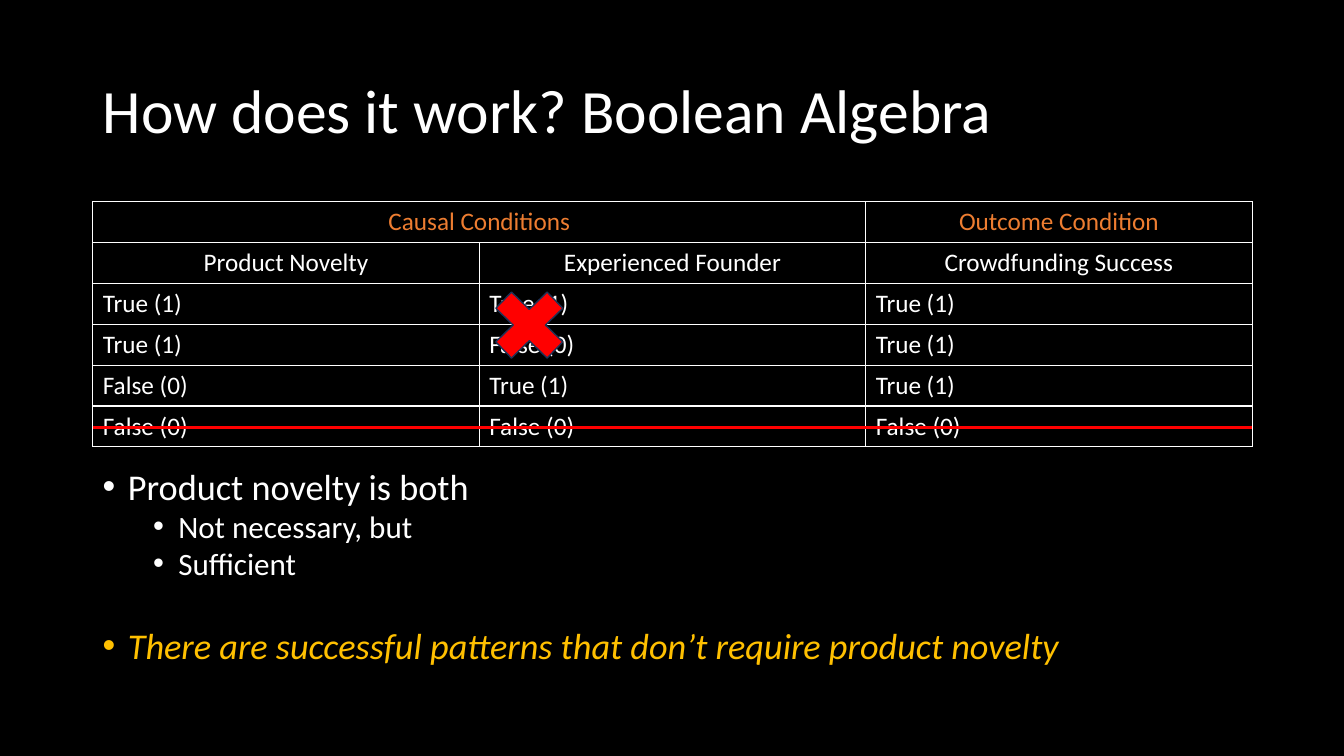
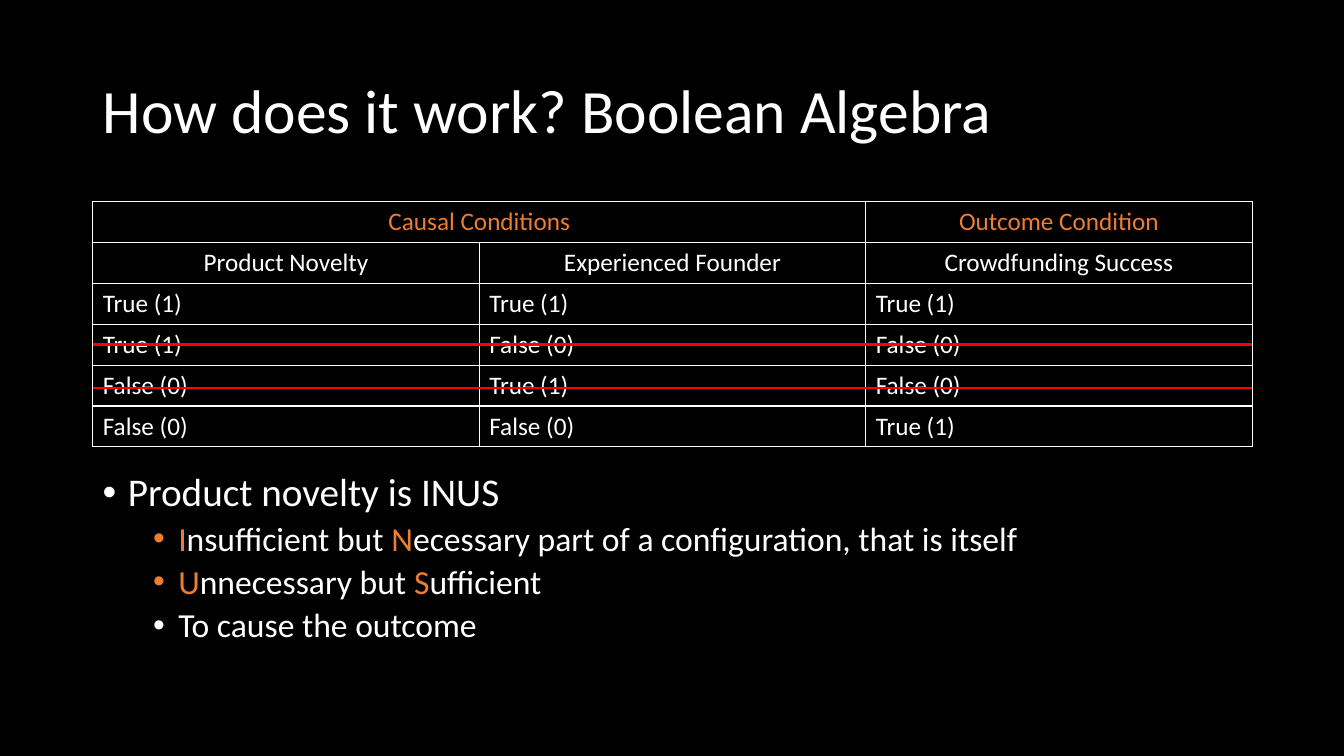
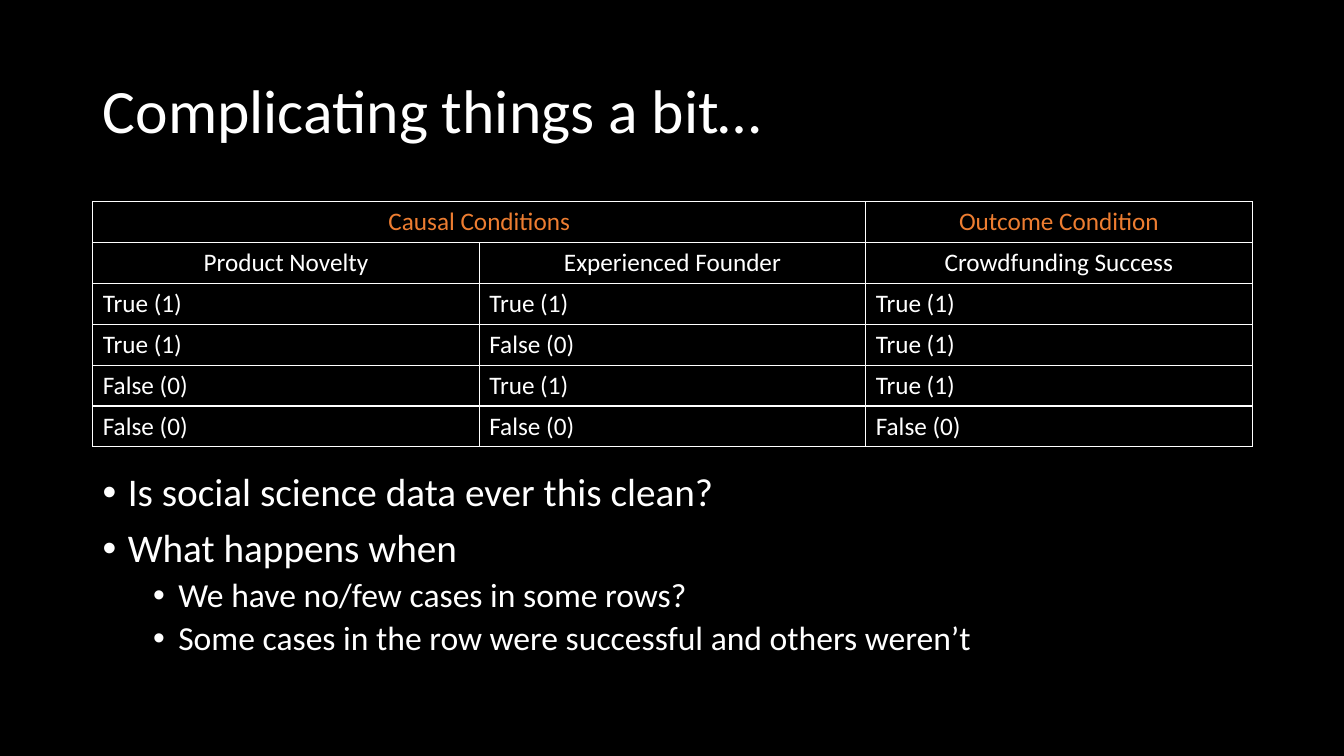
"""Build three slides on Boolean algebra with truth tables."""
from lxml.etree import SubElement
from pptx import Presentation
from pptx.dml.color import RGBColor
from pptx.enum.shapes import MSO_CONNECTOR as Connector, MSO_SHAPE as Shape
from pptx.enum.text import MSO_ANCHOR as Anchor, PP_ALIGN as Align
from pptx.oxml.ns import qn
from pptx.util import Inches, Pt

FONT = "Calibri"
COLORS = {
    "background": "000000",
    "text": "FFFFFF",
    "accent": "ED7D31",
    "highlight": "FFC000",
    "strike": "FF0000",
    "cross_edge": "1E3256",
}
LEFT, WIDTH = Inches(0.92), Inches(11.5)
TRUE, FALSE = "True (1)", "False (0)"
HEADERS = [
    ("Causal Conditions", "", "Outcome Condition"),
    ("Product Novelty", "Experienced Founder", "Crowdfunding Success"),
]
CONDITIONS = [(TRUE, TRUE), (TRUE, FALSE), (FALSE, TRUE), (FALSE, FALSE)]


def rgb(name):
    return RGBColor.from_string(COLORS[name])


class Deck:
    def __init__(self):
        self.presentation = Presentation()
        self.presentation.slide_width = Inches(13.33)
        self.presentation.slide_height = Inches(7.5)
        self.slide = None

    def style(self, run, size, color="text", italic=False):
        run.font.name = FONT
        run.font.size = Pt(size)
        run.font.color.rgb = rgb(color)
        run.font.bold = False
        run.font.italic = italic

    def add_slide(self, heading):
        self.slide = self.presentation.slides.add_slide(self.presentation.slide_layouts[5])
        background = self.slide.background.fill
        background.solid()
        background.fore_color.rgb = rgb("background")
        title = self.slide.shapes.title
        title.left, title.top, title.width, title.height = LEFT, Inches(0.4), WIDTH, Inches(1.45)
        title.text_frame.text = heading
        title.text_frame.vertical_anchor = Anchor.MIDDLE
        paragraph = title.text_frame.paragraphs[0]
        paragraph.alignment = Align.LEFT
        paragraph.line_spacing = 0.9
        self.style(paragraph.runs[0], 44)

    def add_borders(self, cell):
        properties = cell._tc.get_or_add_tcPr()
        for side in ("lnL", "lnR", "lnT", "lnB"):
            border = SubElement(properties, qn(f"a:{side}"), w=str(Pt(1)))
            fill = SubElement(border, qn("a:solidFill"))
            SubElement(fill, qn("a:srgbClr"), val=COLORS["text"])

    def add_truth_table(self, outcomes):
        rows = HEADERS + [(*pair, outcome) for pair, outcome in zip(CONDITIONS, outcomes)]
        table = self.slide.shapes.add_table(
            len(rows), 3, LEFT, Inches(2), WIDTH, Inches(2.43)).table
        table.first_row = table.horz_banding = False
        table.cell(0, 0).merge(table.cell(0, 1))
        for row_index, values in enumerate(rows):
            for column_index, value in enumerate(values):
                cell = table.cell(row_index, column_index)
                self.add_borders(cell)
                cell.fill.solid()
                cell.fill.fore_color.rgb = rgb("background")
                cell.text_frame.text = value
                paragraph = cell.text_frame.paragraphs[0]
                paragraph.alignment = Align.CENTER if row_index < len(HEADERS) else Align.LEFT
                for run in paragraph.runs:
                    self.style(run, 18, "text" if row_index else "accent")

    def add_bullets(self, items, sizes=(28, 24), line_spacing=0.9):
        frame = self.slide.shapes.add_textbox(LEFT, Inches(4.64), WIDTH, Inches(2.12)).text_frame
        frame.word_wrap = True
        for index, (level, text) in enumerate(items):
            paragraph = frame.add_paragraph() if index else frame.paragraphs[0]
            paragraph.level = level
            paragraph.line_spacing = line_spacing
            paragraph.space_before = Pt(5 if level else 10)
            properties = paragraph._p.get_or_add_pPr()
            properties.set("marL", str(Inches(0.25 + 0.5 * level)))
            properties.set("indent", str(Inches(-0.25)))
            SubElement(properties, qn("a:buFont"), typeface="Arial")
            SubElement(properties, qn("a:buChar"), char="•")
            for part_index, part in enumerate(text.split("|")):
                if part:
                    run = paragraph.add_run()
                    run.text = part
                    self.style(run, sizes[level], "accent" if part_index % 2 else "text")
        return frame.paragraphs

    def add_strike(self, top):
        y = Inches(top)
        strike = self.slide.shapes.add_connector(Connector.STRAIGHT, LEFT, y, LEFT + WIDTH, y)
        strike.line.color.rgb = rgb("strike")
        strike.line.width = Pt(2)
        SubElement(strike._element.spPr, qn("a:effectLst"))

    def add_cross(self):
        cross = self.slide.shapes.add_shape(
            Shape.MATH_MULTIPLY, Inches(4.76), Inches(2.75), Inches(0.98), Inches(0.95))
        cross.shadow.inherit = False
        cross.fill.solid()
        cross.fill.fore_color.rgb = rgb("strike")
        cross.line.color.rgb = rgb("cross_edge")
        cross.line.width = Pt(1)


def main():
    deck = Deck()

    deck.add_slide("How does it work? Boolean Algebra")
    deck.add_truth_table([TRUE, TRUE, TRUE, FALSE])
    deck.add_strike(4.24)
    deck.add_cross()
    conclusion = deck.add_bullets([
        (0, "Product novelty is both"),
        (1, "Not necessary, but"),
        (1, "Sufficient"),
        (0, "There are successful patterns that don’t require product novelty"),
    ], sizes=(25.9, 22.2), line_spacing=0.8)[-1]
    conclusion.space_before = Pt(36)
    deck.style(conclusion.runs[0], 25.9, "highlight", italic=True)

    deck.add_slide("How does it work? Boolean Algebra")
    deck.add_truth_table([TRUE, FALSE, FALSE, TRUE])
    deck.add_bullets([
        (0, "Product novelty is INUS"),
        (1, "|I|nsufficient but |N|ecessary part of a configuration, that is itself"),
        (1, "|U|nnecessary but |S|ufficient"),
        (1, "To cause the outcome"),
    ])
    for top in (3.85, 3.42):
        deck.add_strike(top)

    deck.add_slide("Complicating things a bit…")
    deck.add_truth_table([TRUE, TRUE, TRUE, FALSE])
    deck.add_bullets([
        (0, "Is social science data ever this clean?"),
        (0, "What happens when"),
        (1, "We have no/few cases in some rows?"),
        (1, "Some cases in the row were successful and others weren’t"),
    ])

    deck.presentation.save("out.pptx")


if __name__ == "__main__":
    main()
